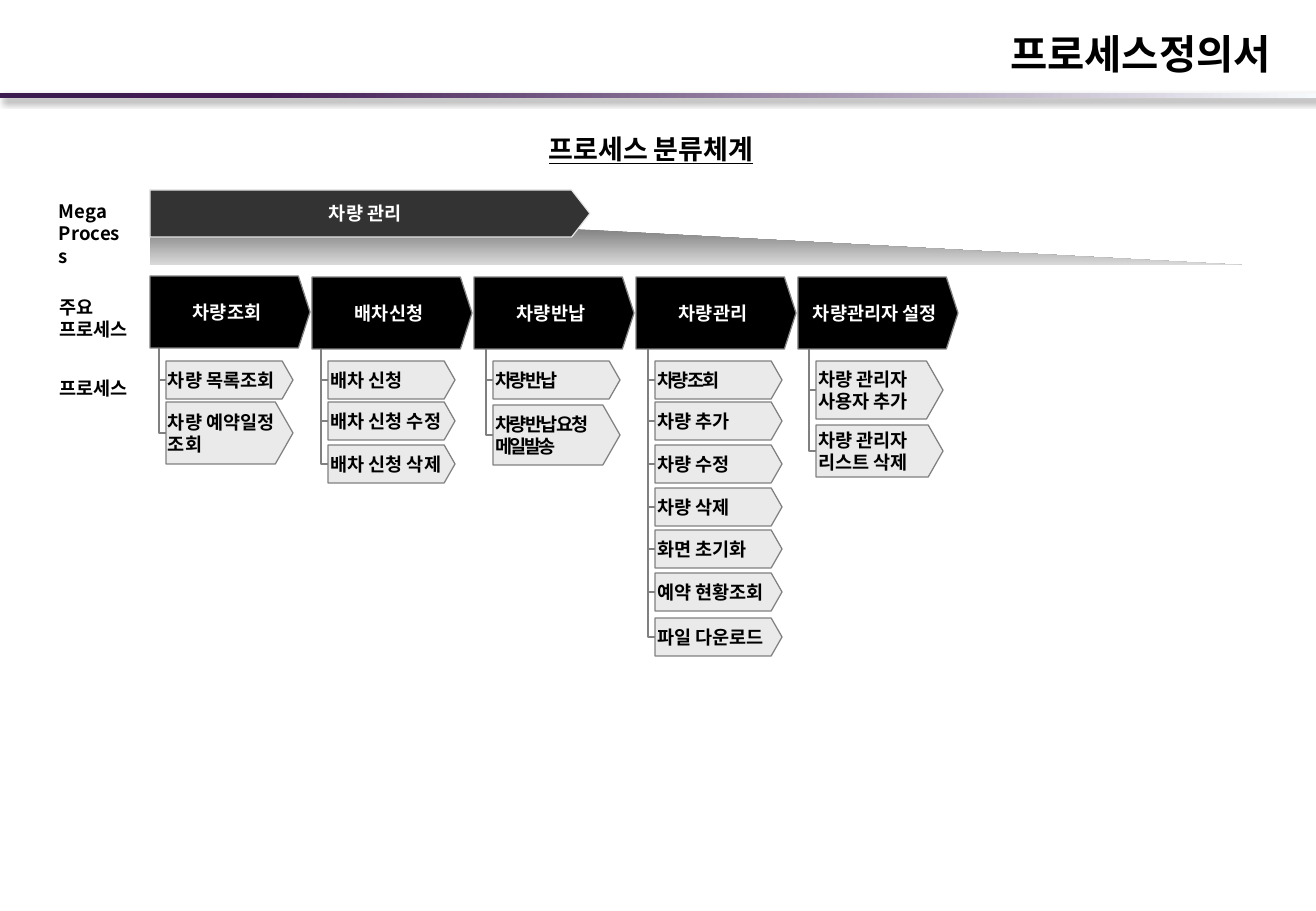
from copy import deepcopy
from dataclasses import dataclass

from lxml.etree import SubElement
from pptx import Presentation
from pptx.dml.color import RGBColor
from pptx.enum.shapes import MSO_CONNECTOR, MSO_SHAPE
from pptx.enum.text import MSO_ANCHOR, MSO_AUTO_SIZE, PP_ALIGN
from pptx.oxml.ns import qn
from pptx.util import Emu, Pt

SCALE = 914400 / 121.5
FONT = "Noto Sans CJK KR"
COLORS = {
    "black": "000000", "white": "FFFFFF", "mega": "333333", "mega_line": "E7E6E6",
    "process": "EAEAEA", "gray": "808080", "light_gray": "D9D9D9",
    "band_light": "F7FAFD", "band_purple": "411B54", "band_dark": "3D1C52",
}
PLATE_LEFT, PLATE_STEP, PLATE_WIDTH, PLATE_HEIGHT = 150, 162, 160, 72
PROCESS_WIDTH, BRANCH_WIDTH = 127, 7


@dataclass
class Process:
    """One process box and the height where its branch starts."""
    text: str
    top: int
    height: int = 38
    start: int = 345
    tracking: float = 0


MAIN_PROCESSES = [
    ("차량조회", 276, 166, [
        Process("차량 목록조회", 361),
        Process("차량 예약일정\n조회", 402, 62)]),
    ("배차신청", 277, 328, [
        Process("배차 신청", 361),
        Process("배차 신청 수정", 402),
        Process("배차 신청 삭제", 445)]),
    ("차량반납", 277, 493, [
        Process("차량 반납", 361, tracking=-1.5),
        Process("차량 반납 요청\n메일발송", 405, 60, 360, -1.5)]),
    ("차량관리", 277, 655, [
        Process("차량 조회", 361, tracking=-1.5),
        Process("차량 추가", 402),
        Process("차량 수정", 445),
        Process("차량 삭제", 488, start=395),
        Process("화면 초기화", 530, start=434),
        Process("예약 현황조회", 573, start=478),
        Process("파일 다운로드", 618, start=521)]),
    ("차량관리자 설정", 277, 816, [
        Process("차량 관리자\n사용자 추가", 361, 58),
        Process("차량 관리자\n리스트 삭제", 425, 52, 368)]),
]


def px(length):
    """Turn pixels into EMU."""
    return Emu(round(length * SCALE))


def rgb(name):
    """Look up a named colour."""
    return RGBColor.from_string(COLORS[name])


def write(shape, text, size=11, color="black", align=PP_ALIGN.LEFT,
          anchor=MSO_ANCHOR.MIDDLE, margins=(2, 4), underline=None,
          tracking=0, line_spacing=None):
    """Fill a shape with formatted bold text, one paragraph a line."""
    frame = shape.text_frame
    frame.text = text
    frame.word_wrap = True
    frame.auto_size = MSO_AUTO_SIZE.NONE
    frame.vertical_anchor = anchor
    frame.margin_left = frame.margin_right = px(margins[0])
    frame.margin_top = frame.margin_bottom = px(margins[1])
    for paragraph in frame.paragraphs:
        paragraph.alignment = align
        paragraph.line_spacing = line_spacing
        for run in paragraph.runs:
            font = run.font
            font.size, font.bold, font.underline = Pt(size), True, underline
            font.color.rgb = rgb(color)
            font.name = FONT
            properties = run._r.get_or_add_rPr()
            SubElement(properties, qn("a:ea"), typeface=FONT)
            if tracking:
                properties.set("spc", str(round(tracking * 100)))


def add_label(slide, text, left, top, width, height, **text_format):
    """Add a text box."""
    box = slide.shapes.add_textbox(px(left), px(top), px(width), px(height))
    write(box, text, **text_format)


def add_plate(slide, text, left, top, width, height, point, fill,
              line="gray", **text_format):
    """Add a pentagon arrow with text."""
    plate = slide.shapes.add_shape(
        MSO_SHAPE.PENTAGON, px(left), px(top), px(width), px(height))
    plate.shadow.inherit = False
    plate.adjustments[0] = point
    plate.fill.solid()
    plate.fill.fore_color.rgb = rgb(fill)
    plate.line.color.rgb = rgb(line)
    plate.line.width = Pt(0.75)
    write(plate, text, **text_format)


def add_gradient(shapes, kind, left, top, width, height, stops, angle):
    """Add a borderless shape with a linear gradient."""
    shape = shapes.add_shape(kind, px(left), px(top), px(width), px(height))
    shape.shadow.inherit = False
    shape.line.fill.background()
    shape.fill.gradient()
    shape.fill.gradient_angle = angle
    stop_list = shape._element.spPr.find(".//" + qn("a:gsLst"))
    for _ in stops[2:]:
        stop_list.append(deepcopy(stop_list[-1]))
    for stop, (position, color) in zip(shape.fill.gradient_stops, stops):
        stop.position = position
        stop.color.rgb = rgb(color)
    return shape


def add_shadow(shape):
    """Give a shape a soft shadow to the lower right."""
    effects = shape._element.spPr.find(qn("a:effectLst"))
    shadow = SubElement(effects, qn("a:outerShdw"), blurRad=str(Pt(4)),
                        dist=str(Pt(3)), dir="2700000", algn="tl", rotWithShape="0")
    color = SubElement(shadow, qn("a:srgbClr"), val=COLORS["black"])
    SubElement(color, qn("a:alpha"), val="40000")


def add_branch(slide, left, start, end):
    """Add a one-bend connector going down, then right to a process."""
    center_x, center_y = left + BRANCH_WIDTH / 2, (start + end) / 2
    half_length, half_width = (end - start) / 2, BRANCH_WIDTH / 2
    branch = slide.shapes.add_connector(
        MSO_CONNECTOR.ELBOW,
        px(center_x + half_length), px(center_y - half_width),
        px(center_x - half_length), px(center_y + half_width))
    branch.line.color.rgb = rgb("gray")
    branch.line.width = Pt(0.75)
    properties = branch._element.spPr
    properties.find(qn("a:xfrm")).set("rot", "16200000")
    properties.find(qn("a:prstGeom")).set("prst", "bentConnector2")
    SubElement(properties, qn("a:effectLst"))


def add_header(slide):
    """Add the title, its band and the subtitle."""
    band = add_gradient(
        slide.shapes, MSO_SHAPE.RECTANGLE, 0, 93, 1316, 5,
        [(0, "band_light"), (0.8, "band_purple"), (1, "band_dark")], 180)
    add_shadow(band)
    title = slide.shapes.title
    title.left, title.top, title.width, title.height = map(px, (519, 24, 764, 57))
    write(title, "프로세스정의서", size=24, align=PP_ALIGN.RIGHT,
          margins=(12, 6), line_spacing=1.05)
    add_label(slide, "프로세스 분류체계", 50, 126, 1202, 45, size=16,
              align=PP_ALIGN.CENTER, margins=(12, 6), underline=True)


def add_mega_process(slide):
    """Add the mega process arrow over its fading wedge."""
    wedge = slide.shapes.add_group_shape().shapes
    stops = [(0, "gray"), (1, "light_gray")]
    add_gradient(wedge, MSO_SHAPE.RECTANGLE, 150, 228, 420, 37, stops, 270)
    add_gradient(wedge, MSO_SHAPE.RIGHT_TRIANGLE, 552, 228, 690, 37, stops, 270)
    add_plate(slide, "차량 관리", 150, 190, 440, 47, 0.39, "mega", "mega_line",
              color="white", align=PP_ALIGN.CENTER)


def add_main_process(slide, index, name, top, left, processes):
    """Add a main process with its branches and processes."""
    for process in processes:
        add_plate(slide, process.text, left, process.top, PROCESS_WIDTH,
                  process.height, 0.285, "process", tracking=process.tracking)
        add_branch(slide, left - BRANCH_WIDTH, process.start,
                   process.top + process.height / 2)
    add_plate(slide, name, PLATE_LEFT + index * PLATE_STEP, top, PLATE_WIDTH,
              PLATE_HEIGHT, 0.162, "black", color="white", align=PP_ALIGN.CENTER)


def main():
    """Build and save the process classification slide."""
    presentation = Presentation()
    presentation.slide_width, presentation.slide_height = px(1316), px(911)
    slide = presentation.slides.add_slide(presentation.slide_layouts[5])
    add_header(slide)
    add_mega_process(slide)
    for text, top, width, height in [
            ("Mega\nProcess", 196, 69, 52),
            ("주요\n프로세스", 292, 76, 52),
            ("프로세스", 373, 76, 29)]:
        add_label(slide, text, 57, top, width, height, anchor=MSO_ANCHOR.TOP)
    for index, main_process in enumerate(MAIN_PROCESSES):
        add_main_process(slide, index, *main_process)
    presentation.save("out.pptx")


main()
